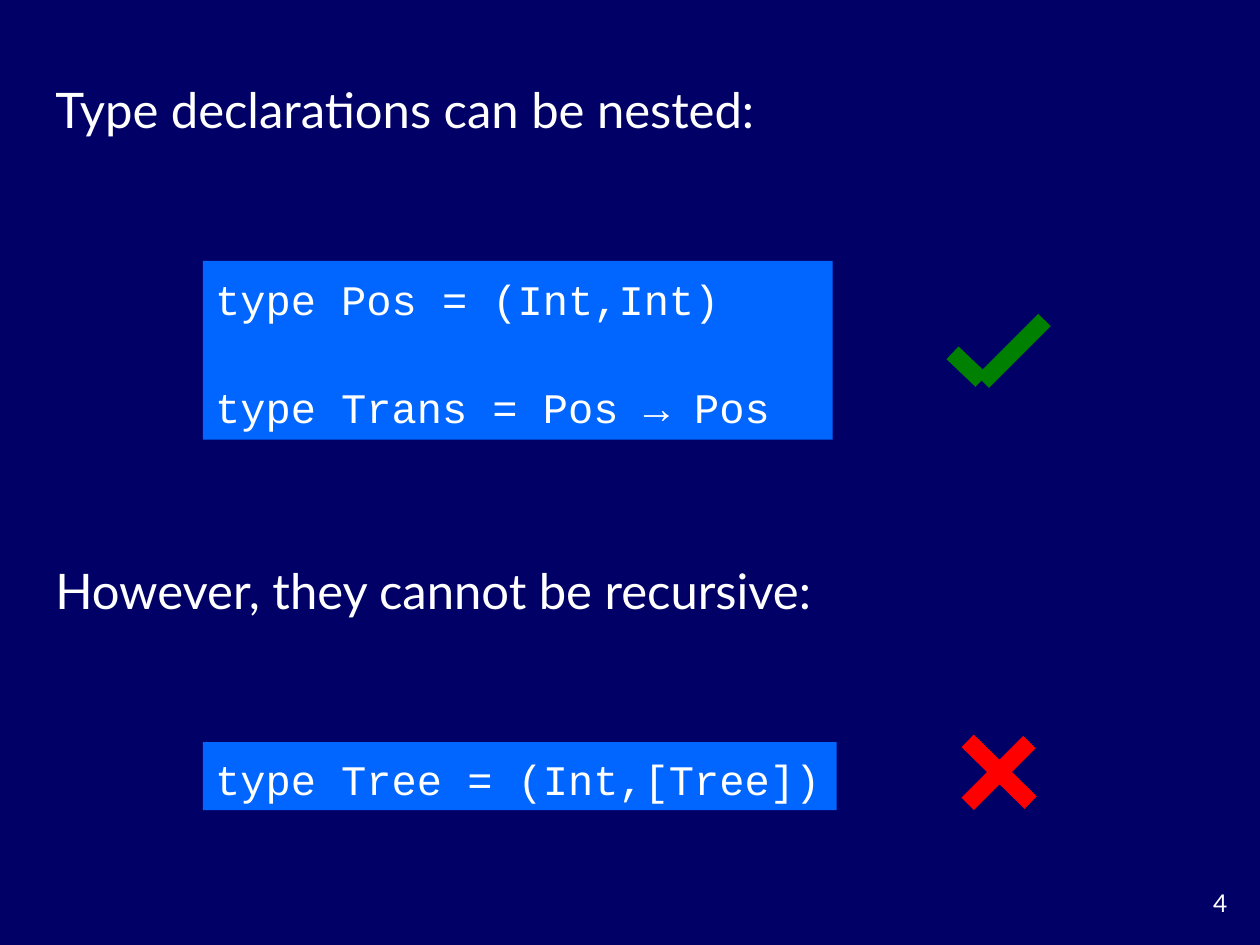
from dataclasses import dataclass
from lxml.etree import SubElement
from pptx import Presentation
from pptx.dml.color import RGBColor
from pptx.enum.shapes import MSO_CONNECTOR, MSO_SHAPE
from pptx.enum.text import MSO_ANCHOR, MSO_AUTO_SIZE, PP_ALIGN
from pptx.oxml.ns import qn
from pptx.util import Inches, Pt


@dataclass(frozen=True)
class Theme:
    background: RGBColor = RGBColor(0x00, 0x00, 0x66)
    panel: RGBColor = RGBColor(0x00, 0x66, 0xFF)
    text: RGBColor = RGBColor(0xFF, 0xFF, 0xFF)
    right: RGBColor = RGBColor(0x00, 0x80, 0x00)
    wrong: RGBColor = RGBColor(0xFF, 0x00, 0x00)
    body_font: str = "Lato"
    code_font: str = "Courier New"
    heading_size: int = 28
    code_size: int = 24
    number_size: int = 14
    mark_width: int = 10


theme = Theme()
deck = Presentation()
deck.slide_width, deck.slide_height = Inches(10), Inches(7.5)
page = deck.slides.add_slide(deck.slide_layouts[6])
page.background.fill.solid()
page.background.fill.fore_color.rgb = theme.background


def on_grid(*cells):
    """Turn cells of a 100 by 75 grid into slide lengths."""
    return [int(cell * deck.slide_width / 100) for cell in cells]


def write(para, text, font, size):
    span = para.add_run()
    span.text = text
    span.font.name = font
    span.font.size = Pt(size)
    span.font.color.rgb = theme.text


number = page.shapes.add_textbox(*on_grid(91.7, 70, 6.7, 3.3)).text_frame
number.word_wrap = True
number.paragraphs[0].alignment = PP_ALIGN.RIGHT
write(number.paragraphs[0], "4", theme.body_font, theme.number_size)

# Each section: heading, its top and width, code lines, panel top, width, height
sections = [
    ("Type declarations can be nested:", 5.8, 93.1,
     ["type Pos = (Int,Int)", "type Trans = Pos → Pos"], 20.7, 50, 14.2),
    ("However, they cannot be recursive:", 44, 64.9,
     ["type Tree = (Int,[Tree])"], 58.9, 50.3, 5.4),
]
for heading, top, width, code, panel_top, panel_width, panel_height in sections:
    box = page.shapes.add_textbox(*on_grid(3.4, top, width, 5.7))
    panel = page.shapes.add_shape(
        MSO_SHAPE.RECTANGLE, *on_grid(16.1, panel_top, panel_width, panel_height))
    panel.shadow.inherit = False
    panel.fill.solid()
    panel.fill.fore_color.rgb = theme.panel
    panel.line.fill.background()
    for frame in (box.text_frame, panel.text_frame):
        frame.word_wrap = True
        frame.vertical_anchor = MSO_ANCHOR.MIDDLE
        frame.auto_size = MSO_AUTO_SIZE.SHAPE_TO_FIT_TEXT
    panel.text_frame.word_wrap = len(code) > 1
    write(box.text_frame.paragraphs[0], heading, theme.body_font, theme.heading_size)
    for row, line in enumerate(code):
        frame = panel.text_frame
        para = frame.add_paragraph() if row else frame.paragraphs[0]
        para.alignment = PP_ALIGN.LEFT
        para.line_spacing = 1.1
        if row:
            para.space_before = Pt(theme.code_size * 1.25)
        write(para, line, theme.code_font, theme.code_size)

# Cross and tick, each a group of two strokes
marks = [
    (theme.wrong, [(76.8, 58.8, 81.8, 63.7), (81.7, 58.9, 76.8, 63.8)]),
    (theme.right, [(82.9, 25.4, 78, 30.3), (75.6, 28, 77.9, 30.2)]),
]
for color, strokes in marks:
    mark = page.shapes.add_group_shape()
    for ends in strokes:
        stroke = mark.shapes.add_connector(MSO_CONNECTOR.STRAIGHT, *on_grid(*ends))
        stroke.line.color.rgb = color
        stroke.line.width = Pt(theme.mark_width)
        SubElement(stroke._element.spPr, qn("a:effectLst"))

deck.save("out.pptx")
